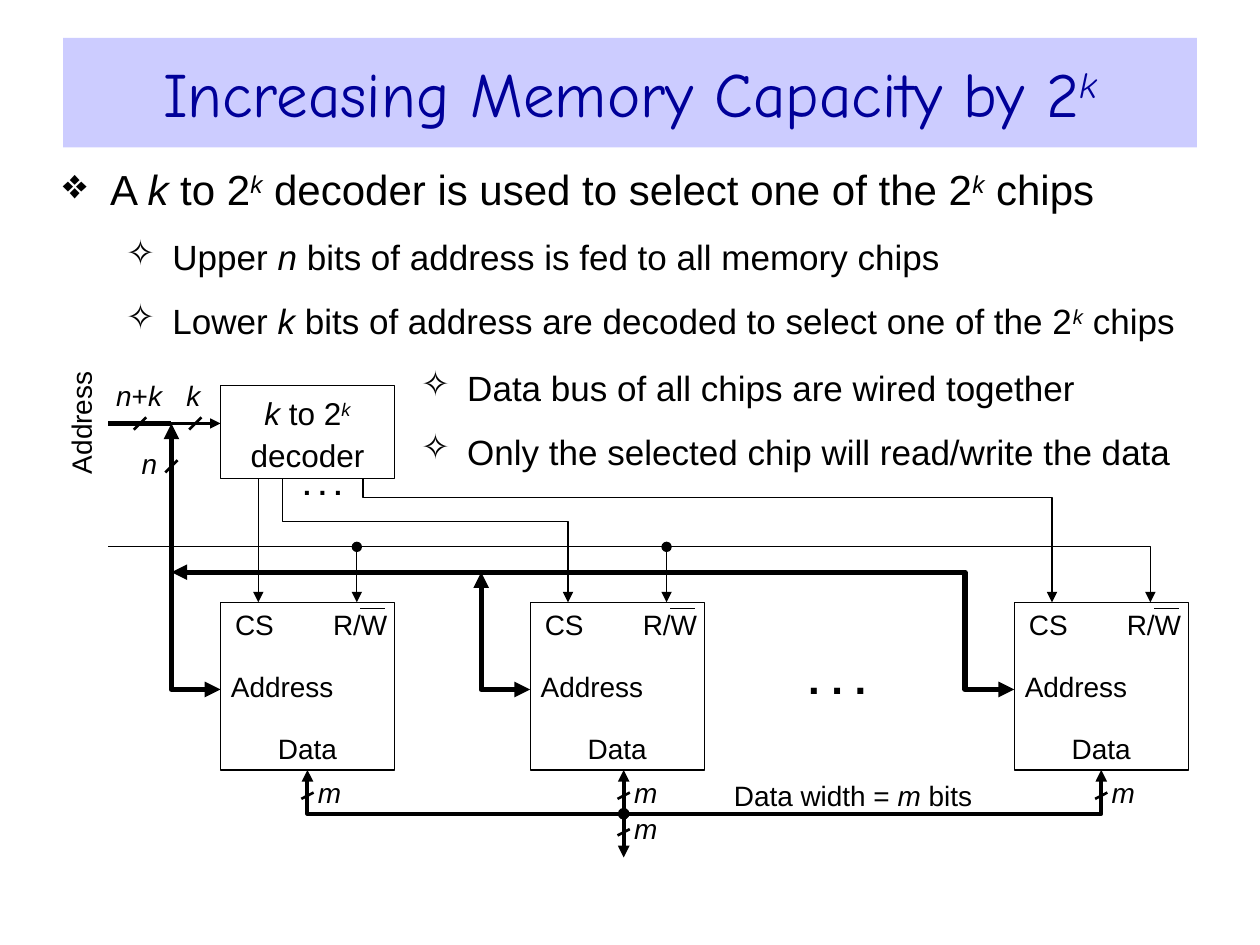
from lxml import etree
from pptx import Presentation
from pptx import util as u
from pptx.dml.color import RGBColor
from pptx.enum import shapes, text
from pptx.oxml import ns

BLACK = RGBColor(0, 0, 0)
WHITE = RGBColor(255, 255, 255)
NAVY = RGBColor(0, 0, 0x99)
LAVENDER = RGBColor(0xCC, 0xCC, 0xFF)

CHIP_LEFTS = (126, 303, 579.6)
CHIP_TOP, CHIP_WIDTH, CHIP_HEIGHT = 344.2, 99.4, 95.8
CHIP_BOTTOM = CHIP_TOP + CHIP_HEIGHT
DECODER_BOTTOM = 273.6
ADDRESS_Y, CONTROL_Y, SHARED_Y, PIN_Y = 242, 312.5, 327, 394
ADDRESS_X, INPUT_X, DATA_X, DATA_Y = 98, 62, 356.4, 465


def add_runs(paragraph, runs, size, font="Arial", color=BLACK):
    for words, style in runs:
        run = paragraph.add_run()
        run.text = words
        run.font.name = font
        run.font.size = u.Pt(size)
        run.font.color.rgb = color
        run.font.bold = style == "bold"
        run.font.italic = style in ("italic", "super")
        if style == "super":
            run.font._element.set("baseline", "30000")


def set_margins(frame, side=0, end=0):
    frame.margin_left = frame.margin_right = u.Pt(side)
    frame.margin_top = frame.margin_bottom = u.Pt(end)


def add_label(slide, left, top, width, height, runs, size=16, rotation=0):
    shape = slide.shapes.add_textbox(u.Pt(left), u.Pt(top), u.Pt(width), u.Pt(height))
    shape.rotation = rotation
    frame = shape.text_frame
    set_margins(frame)
    frame.vertical_anchor = text.MSO_ANCHOR.MIDDLE
    paragraph = frame.paragraphs[0]
    paragraph.alignment = text.PP_ALIGN.CENTER
    add_runs(paragraph, runs, size)


def add_bullets(slide, left, top, width, height, items):
    shape = slide.shapes.add_textbox(u.Pt(left), u.Pt(top), u.Pt(width), u.Pt(height))
    frame = shape.text_frame
    frame.word_wrap = True
    set_margins(frame, 0, 3.6)
    for index, (level, runs) in enumerate(items):
        paragraph = frame.paragraphs[0] if index == 0 else frame.add_paragraph()
        paragraph.level = level
        character, size, margin, indent = (("❖", 24, 27, 27), ("✧", 20, 62.5, 26.5))[level]
        properties = paragraph._p.get_or_add_pPr()
        properties.set("marL", str(u.Pt(margin)))
        properties.set("indent", str(-u.Pt(indent)))
        bullet = etree.SubElement(properties, ns.qn("a:buChar"))
        bullet.set("char", character)
        if index:
            paragraph.space_before = u.Pt(12.5)
        add_runs(paragraph, runs, size)


def add_box(slide, left, top, width, height):
    shape = slide.shapes.add_shape(
        shapes.MSO_SHAPE.RECTANGLE, u.Pt(left), u.Pt(top), u.Pt(width), u.Pt(height))
    shape.shadow.inherit = False
    shape.fill.solid()
    shape.fill.fore_color.rgb = WHITE
    shape.line.color.rgb = BLACK
    shape.line.width = u.Pt(0.75)
    return shape


def add_wire(slide, points, width=0.75, head=None, tail=None):
    corners = [(u.Pt(x), u.Pt(y)) for x, y in points]
    if len(corners) == 2:
        shape = slide.shapes.add_connector(
            shapes.MSO_CONNECTOR.STRAIGHT, *corners[0], *corners[1])
        etree.SubElement(shape._element.spPr, ns.qn("a:effectLst"))
    else:
        builder = slide.shapes.build_freeform(*corners[0], scale=1.0)
        builder.add_line_segments(corners[1:], close=False)
        shape = builder.convert_to_shape()
        shape.shadow.inherit = False
        shape.fill.background()
    shape.line.color.rgb = BLACK
    shape.line.width = u.Pt(width)
    line = shape.line._get_or_add_ln()
    for tag, kind in (("a:headEnd", head), ("a:tailEnd", tail)):
        if kind:
            etree.SubElement(line, ns.qn(tag)).set("type", kind)


def add_slash(slide, x, y, rise):
    add_wire(slide, [(x - 3.5, y + rise / 2), (x + 3.5, y - rise / 2)], 1.5)


def add_data_width(slide, x, y):
    add_slash(slide, x, y, 3.6)
    add_label(slide, x + 3.6, y - 11, 18, 18, [("m", "italic")])


def add_chip(slide, left):
    add_box(slide, left, CHIP_TOP, CHIP_WIDTH, CHIP_HEIGHT)
    for words, x, y, width in (("CS", 3.6, 3.6, 31.7), ("R/W", 64, 3.6, 31.7),
                               ("Address", 0, 39, 70.5), ("Data", 14.4, 74.5, 70.5)):
        add_label(slide, left + x, CHIP_TOP + y, width, 18, [(words, "")])
    add_wire(slide, [(left + 80, CHIP_TOP + 3.6), (left + 94.3, CHIP_TOP + 3.6)])


def add_title(slide):
    title = slide.shapes.title
    title.left, title.top, title.width, title.height = map(u.Pt, (36, 21.6, 648, 62.6))
    title.fill.solid()
    title.fill.fore_color.rgb = LAVENDER
    frame = title.text_frame
    frame.auto_size = text.MSO_AUTO_SIZE.NONE
    frame.vertical_anchor = text.MSO_ANCHOR.MIDDLE
    paragraph = frame.paragraphs[0]
    paragraph.alignment = text.PP_ALIGN.CENTER
    add_runs(paragraph, [("Increasing Memory Capacity by 2", ""), ("k", "super")],
             36, "Comic Neue", NAVY)


def add_decoder(slide):
    decoder = add_box(slide, 126, 220.3, CHIP_WIDTH, DECODER_BOTTOM - 220.3)
    frame = decoder.text_frame
    set_margins(frame)
    frame.vertical_anchor = text.MSO_ANCHOR.MIDDLE
    lines = ([("k", "italic"), (" to 2", ""), ("k", "super")], [("decoder", "")])
    for index, runs in enumerate(lines):
        paragraph = frame.paragraphs[0] if index == 0 else frame.add_paragraph()
        paragraph.alignment = text.PP_ALIGN.CENTER
        paragraph.line_spacing = 1.1
        add_runs(paragraph, runs, 18)


def add_address_wires(slide):
    arrow = "triangle"
    first, second, last = CHIP_LEFTS
    for points in ([(ADDRESS_X, SHARED_Y), (551.5, SHARED_Y), (551.5, PIN_Y), (last, PIN_Y)],
                   [(second, PIN_Y), (275, PIN_Y), (275, SHARED_Y)],
                   [(first, PIN_Y), (ADDRESS_X, PIN_Y), (ADDRESS_X, ADDRESS_Y)]):
        add_wire(slide, points, 3, arrow, arrow)
    add_wire(slide, [(ADDRESS_X, ADDRESS_Y), (first, ADDRESS_Y)], 1.5, tail=arrow)
    add_wire(slide, [(INPUT_X, ADDRESS_Y), (ADDRESS_X, ADDRESS_Y)], 3)
    for x, y in ((80, ADDRESS_Y), (111.6, ADDRESS_Y), (ADDRESS_X, 266.5)):
        add_slash(slide, x, y, 7)


def add_control_wires(slide):
    arrow = "triangle"
    add_wire(slide, [(INPUT_X, CONTROL_Y), (657.4, CONTROL_Y), (657.4, CHIP_TOP)], tail=arrow)
    for left in CHIP_LEFTS[:2]:
        x = left + 77.9
        add_wire(slide, [(x, CONTROL_Y), (x, CHIP_TOP)], head="oval", tail=arrow)
    add_wire(slide, [(147.6, DECODER_BOTTOM), (147.6, CHIP_TOP)], tail=arrow)
    for left, turn, output in ((CHIP_LEFTS[1], 298.2, 161.4), (CHIP_LEFTS[2], 284.4, 207.4)):
        select = left + 21.6
        add_wire(slide, [(select, CHIP_TOP), (select, turn), (output, turn),
                         (output, DECODER_BOTTOM)], head=arrow)


def add_data_wires(slide):
    arrow = "triangle"
    first, last = (left + CHIP_WIDTH / 2 for left in (CHIP_LEFTS[0], CHIP_LEFTS[2]))
    add_wire(slide, [(DATA_X, CHIP_BOTTOM), (DATA_X, DATA_Y)], 2.25, arrow, "oval")
    add_wire(slide, [(first, CHIP_BOTTOM), (first, DATA_Y), (DATA_X, DATA_Y),
                     (DATA_X, 490)], 2.25, arrow, arrow)
    add_wire(slide, [(DATA_X, DATA_Y), (last, DATA_Y), (last, CHIP_BOTTOM)], 2.25, tail=arrow)
    for x, y in ((first, 454.7), (DATA_X, 454.7), (last, 454.7), (DATA_X, 475.6)):
        add_data_width(slide, x, y)


def main():
    presentation = Presentation()
    presentation.slide_width, presentation.slide_height = u.Pt(720), u.Pt(540)
    slide = presentation.slides.add_slide(presentation.slide_layouts[5])
    add_title(slide)
    add_bullets(slide, 36, 90, 648, 119.5, [
        (0, [("A ", ""), ("k", "italic"), (" to 2", ""), ("k", "super"),
             (" decoder is used to select one of the 2", ""), ("k", "super"), (" chips", "")]),
        (1, [("Upper ", ""), ("n", "italic"),
             (" bits of address is fed to all memory chips", "")]),
        (1, [("Lower ", ""), ("k", "italic"),
             (" bits of address are decoded to select one of the 2", ""),
             ("k", "super"), (" chips", "")])])
    for left in CHIP_LEFTS:
        add_chip(slide, left)
    add_decoder(slide)
    add_address_wires(slide)
    add_control_wires(slide)
    add_data_wires(slide)
    add_label(slide, 430.6, 373, 95.8, 28, [(". . .", "bold")], 24)
    add_label(slide, 161.3, 266.4, 46, 21, [(". . .", "bold")])
    add_label(slide, 399, 443.5, 177, 21.6,
              [("Data width = ", ""), ("m", "italic"), (" bits", "")])
    add_label(slide, 65.5, 216.7, 28, 18, [("n", "italic"), ("+", ""), ("k", "italic")])
    add_label(slide, 101.5, 216.7, 18, 18, [("k", "italic")])
    add_label(slide, 76.3, 255.6, 18, 18, [("n", "italic")])
    add_label(slide, 10.8, 232.6, 70.5, 18, [("Address", "")], rotation=270)
    add_bullets(slide, 204.5, 206, 481.7, 81.4, [
        (1, [("Data bus of all chips are wired together", "")]),
        (1, [("Only the selected chip will read/write the data", "")])])
    presentation.save("out.pptx")


if __name__ == "__main__":
    main()
